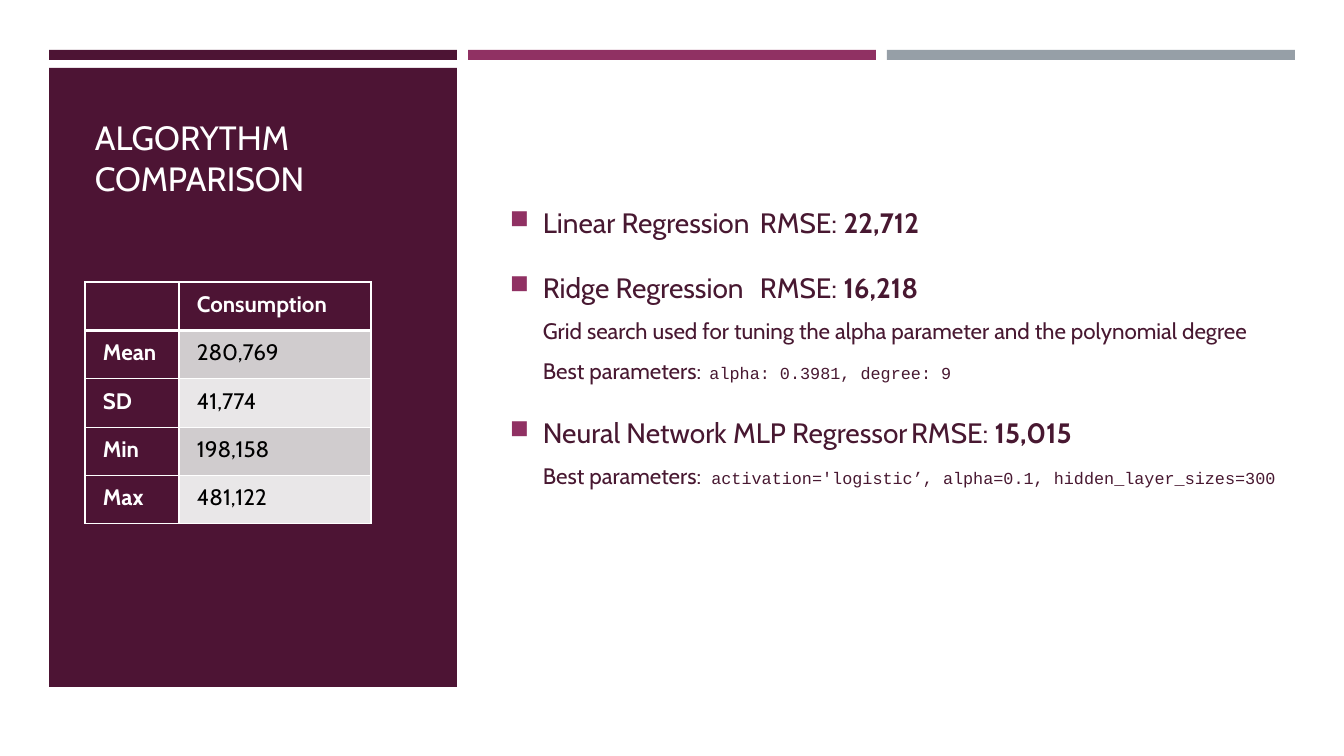
from lxml.etree import SubElement
from pptx import Presentation
from pptx.dml.color import RGBColor as RGB
from pptx.enum.shapes import MSO_SHAPE as SHAPE
from pptx.enum.text import MSO_ANCHOR as ANCHOR
from pptx.oxml.ns import qn
from pptx.util import Pt

PX = 914400 / 100.8
COLORS = {
    "plum": "4D1434", "berry": "903163", "gray": "969FA7", "white": "FFFFFF",
    "black": "000000", "ink": "481831", "dark": "D0CCCE", "light": "E9E7E8",
}
STATS = [("", "Consumption"), ("Mean", "280,769"), ("SD", "41,774"),
         ("Min", "198,158"), ("Max", "481,122")]
# Run styles: font, size, bold
STYLES = {
    "head": ("Cabin", 20, False), "score": ("Cabin", 20, True),
    "note": ("Cabin", 16, False), "code": ("Courier New", 12, False),
}
# Each model is a list of lines, each line a list of runs
MODELS = [
    [[("Linear Regression \tRMSE: ", "head"), ("22,712", "score")]],
    [[("Ridge Regression \tRMSE: ", "head"), ("16,218", "score")],
     [("Grid search used for tuning the alpha parameter and the polynomial degree", "note")],
     [("Best parameters: \t", "note"), ("alpha: 0.3981, degree: 9", "code")]],
    [[("Neural Network MLP Regressor\tRMSE: ", "head"), ("15,015", "score")],
     [("Best parameters:  ", "note"),
      ("activation='logistic’, alpha=0.1, hidden_layer_sizes=300", "code")]],
]


def emu(*sizes):
    return [round(size * PX) for size in sizes]


def rgb(name):
    return RGB.from_string(COLORS[name])


def style(font, face, size, color, bold=False):
    font.name, font.size, font.bold = face, Pt(size), bold
    font.color.rgb = rgb(color)


def rect(slide, box, color):
    shape = slide.shapes.add_shape(SHAPE.RECTANGLE, *emu(*box))
    shape.shadow.inherit = False
    shape.fill.solid()
    shape.fill.fore_color.rgb = rgb(color)
    shape.line.fill.background()


def bars(slide, left, top, width, gap):
    for i, color in enumerate(["plum", "berry", "gray"]):
        rect(slide, (left + i * (width + gap), top, width, 10), color)


def edge(cell, side, width):
    """Draw one white border of a cell; must come before its fill."""
    line = SubElement(cell._tc.get_or_add_tcPr(), qn(f"a:ln{side}"), w=str(Pt(width)))
    fill = SubElement(line, qn("a:solidFill"))
    SubElement(fill, qn("a:srgbClr"), val=COLORS["white"])


def stats(slide, box):
    table = slide.shapes.add_table(len(STATS), 2, *emu(*box)).table
    for col, width in zip(table.columns, emu(94, 192)):
        col.width = width
    for r, row in enumerate(STATS):
        for c, text in enumerate(row):
            cell = table.cell(r, c)
            head = r == 0 or c == 0
            cell.margin_left, cell.margin_top = emu(18, 9)
            cell.margin_right, cell.margin_bottom = emu(18, 9)
            for side in "LRTB":
                thick = (r, side) in [(0, "B"), (1, "T")]
                edge(cell, side, 3 if thick else 1)
            cell.fill.solid()
            cell.fill.fore_color.rgb = rgb("plum" if head else "dark" if r % 2 else "light")
            cell.text = text
            style(cell.text_frame.paragraphs[0].font, "Cabin", 16,
                  "white" if head else "black", head)


def panel(slide, left, top, width, height):
    rect(slide, (left, top, width, height), "plum")
    frame = slide.shapes.add_textbox(*emu(left + 36, top + 23, 350, 112)).text_frame
    frame.word_wrap = True
    frame.vertical_anchor = ANCHOR.BOTTOM
    frame.text = "ALGORYTHM COMPARISON"
    style(frame.paragraphs[0].font, "Cabin", 24, "white")
    stats(slide, (left + 36, top + 214, 286, 242))


def bullet(para):
    """Give a hanging square bullet and half-inch tab steps."""
    props = para._p.get_or_add_pPr()
    indent, hang, tab = emu(35, -33, 50.4)
    for key, value in [("marL", indent), ("indent", hang), ("defTabSz", tab)]:
        props.set(key, str(value))
    color = SubElement(props, qn("a:buClr"))
    SubElement(color, qn("a:srgbClr"), val=COLORS["berry"])
    SubElement(props, qn("a:buSzPct"), val="92000")
    SubElement(props, qn("a:buChar"), char="■")


def models(slide, box):
    frame = slide.shapes.add_textbox(*emu(*box)).text_frame
    frame.word_wrap = False
    for i, lines in enumerate(MODELS):
        para = frame.add_paragraph() if i else frame.paragraphs[0]
        para.line_spacing = 1.5
        para.space_before, para.space_after = Pt(4), Pt(6)
        bullet(para)
        for n, line in enumerate(lines):
            if n:
                para.add_line_break()
            for text, kind in line:
                run = para.add_run()
                run.text = text
                face, size, bold = STYLES[kind]
                style(run.font, face, size, "ink", bold)


def main():
    deck = Presentation()
    deck.slide_width, deck.slide_height = emu(1344, 756)
    slide = deck.slides.add_slide(deck.slide_layouts[6])
    slide.background.fill.solid()
    slide.background.fill.fore_color.rgb = rgb("white")
    bars(slide, 49, 50, 408, 11)
    panel(slide, 49, 68, 408, 619)
    models(slide, (498, 184, 806, 355))
    deck.save("out.pptx")


if __name__ == "__main__":
    main()
